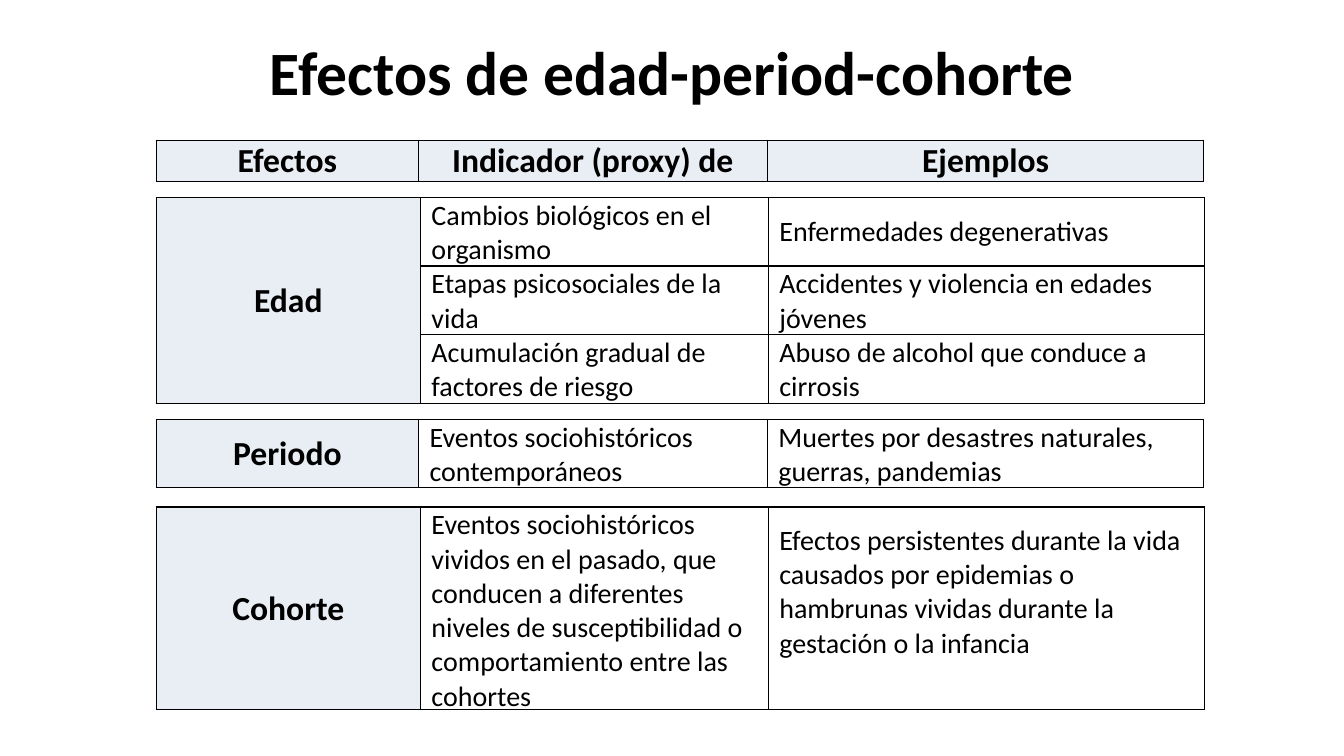
from lxml import etree
from pptx import Presentation
from pptx.dml.color import RGBColor
from pptx.enum.text import MSO_ANCHOR, PP_ALIGN
from pptx.oxml.ns import qn
from pptx.util import Inches, Pt

CENTER, LEFT = PP_ALIGN.CENTER, PP_ALIGN.LEFT
MIDDLE, BOTTOM = MSO_ANCHOR.MIDDLE, MSO_ANCHOR.BOTTOM
BLACK = RGBColor(0x00, 0x00, 0x00)
WHITE = RGBColor(0xFF, 0xFF, 0xFF)
PALE_BLUE = RGBColor(0xE9, 0xED, 0xF4)
FONT = "Calibri"
NARROW_FIRST = (2.6, 3.46, 4.33)
WIDE_FIRST = (2.62, 3.45, 4.33)


def style_paragraph(paragraph, size, bold, alignment):
    paragraph.alignment = alignment
    paragraph.font.name = FONT
    paragraph.font.size = Pt(size)
    paragraph.font.bold = bold
    paragraph.font.color.rgb = BLACK


def add_borders(cell):
    properties = cell._tc.get_or_add_tcPr()
    for side in ("a:lnL", "a:lnR", "a:lnT", "a:lnB"):
        line = etree.SubElement(properties, qn(side), w=str(Pt(1)))
        fill = etree.SubElement(line, qn("a:solidFill"))
        etree.SubElement(fill, qn("a:srgbClr"), val=str(BLACK))


presentation = Presentation()
presentation.slide_width = Inches(13.33)
presentation.slide_height = Inches(7.5)
slide = presentation.slides.add_slide(presentation.slide_layouts[6])

title = slide.shapes.add_textbox(Inches(2.17), Inches(0.08), Inches(9), Inches(1.25))
title.text_frame.word_wrap = True
title.text_frame.vertical_anchor = MIDDLE
title.text_frame.text = "Efectos de edad-period-cohorte"
style_paragraph(title.text_frame.paragraphs[0], 44, True, CENTER)

effect_tables = [
    (1.39, 0.41, NARROW_FIRST, [("Efectos", "Indicador (proxy) de", "Ejemplos")]),
    (1.96, 0.68, WIDE_FIRST, [
        ("Edad", "Cambios biológicos en el organismo", "Enfermedades degenerativas"),
        ("", "Etapas psicosociales de la vida", "Accidentes y violencia en edades jóvenes"),
        ("", "Acumulación gradual de factores de riesgo", "Abuso de alcohol que conduce a cirrosis"),
    ]),
    (4.16, 0.68, NARROW_FIRST, [
        ("Periodo", "Eventos sociohistóricos contemporáneos",
         "Muertes por desastres naturales, guerras, pandemias"),
    ]),
    (5.03, 2.01, WIDE_FIRST, [
        ("Cohorte",
         "Eventos sociohistóricos vividos en el pasado, que conducen a diferentes "
         "niveles de susceptibilidad o comportamiento entre las cohortes",
         "Efectos persistentes durante la vida causados por epidemias o hambrunas "
         "vividas durante la gestación o la infancia"),
    ]),
]

for top, row_height, widths, rows in effect_tables:
    table = slide.shapes.add_table(
        len(rows), len(widths), Inches(1.55), Inches(top),
        Inches(sum(widths)), Inches(row_height * len(rows))).table
    for column, width in zip(table.columns, widths):
        column.width = Inches(width)
    is_header = rows[0][0] == "Efectos"
    for row_index, texts in enumerate(rows):
        for column_index, text in enumerate(texts):
            is_label = is_header or column_index == 0
            cell = table.cell(row_index, column_index)
            add_borders(cell)
            cell.fill.solid()
            cell.fill.fore_color.rgb = PALE_BLUE if is_label else WHITE
            cell.margin_left = Inches(0.01 if is_label else 0.11)
            cell.margin_right = cell.margin_top = Inches(0.01)
            cell.margin_bottom = Inches(0)
            cell.vertical_anchor = BOTTOM if is_header else MIDDLE
            cell.text = text
            style_paragraph(cell.text_frame.paragraphs[0], 24 if is_label else 20,
                            is_label, CENTER if is_label else LEFT)
    if len(rows) > 1:
        table.cell(0, 0).merge(table.cell(len(rows) - 1, 0))

cohort_example = table.cell(0, 2)
cohort_example.margin_bottom = Inches(0.33)

presentation.save("out.pptx")
